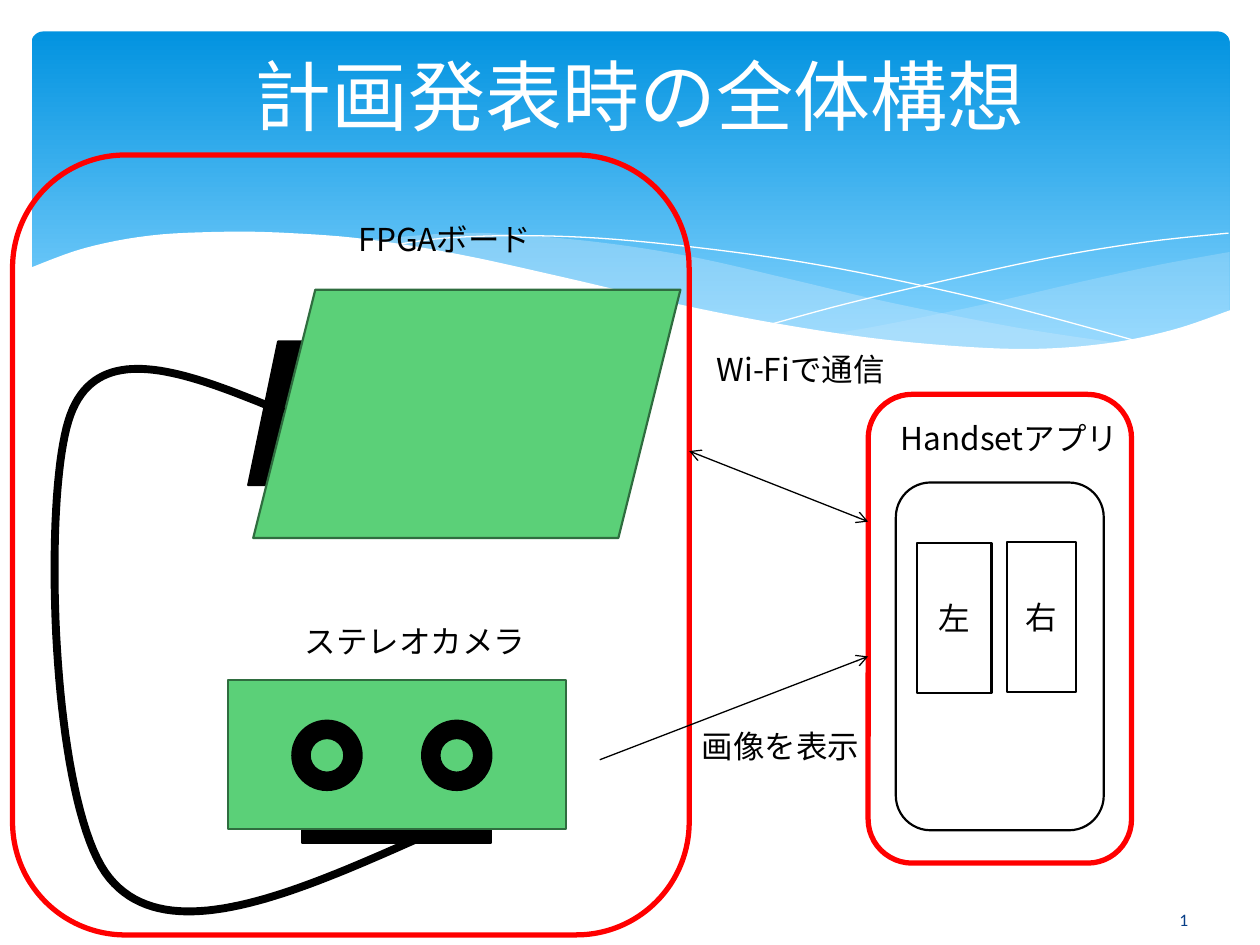
from lxml import etree
from pptx import Presentation
from pptx.dml.color import RGBColor
from pptx.enum.shapes import MSO_CONNECTOR, MSO_SHAPE
from pptx.enum.text import MSO_ANCHOR, PP_ALIGN
from pptx.oxml import parse_xml
from pptx.oxml.ns import nsdecls, qn
from pptx.util import Inches, Pt

ROUNDED, RECTANGLE = MSO_SHAPE.ROUNDED_RECTANGLE, MSO_SHAPE.RECTANGLE
PARALLELOGRAM, DONUT = MSO_SHAPE.PARALLELOGRAM, MSO_SHAPE.DONUT
CENTER, LEFT = PP_ALIGN.CENTER, PP_ALIGN.LEFT
MIDDLE, TOP = MSO_ANCHOR.MIDDLE, MSO_ANCHOR.TOP

WHITE, BLACK = RGBColor(255, 255, 255), RGBColor(0, 0, 0)
RED = RGBColor(0xFF, 0, 0)
GREEN, DARK_GREEN = RGBColor(0x5B, 0xD0, 0x78), RGBColor(0x2F, 0x6D, 0x3F)
SKY, LIGHT_SKY = RGBColor(0x02, 0x93, 0xE0), RGBColor(0x83, 0xD3, 0xFE)
PALE, NAVY = RGBColor(0xC6, 0xE7, 0xFC), RGBColor(0x07, 0x3E, 0x87)
BODY_FONT, TITLE_FONT = "Noto Sans CJK JP", "Calibri"

TITLE = "計画発表時の全体構想"
LABELS = [  # text, left, top, width
    ("Handsetアプリ", 7.05, 3.28, 2.28),
    ("FPGAボード", 2.75, 1.7, 1.89),
    ("Wi-Fiで通信", 5.59, 2.73, 1.79),
    ("ステレオカメラ", 2.32, 4.89, 2.16),
    ("画像を表示", 5.47, 5.72, 1.81),
]
SCREENS = [("左", (7.28, 4.31, 0.59, 1.19)), ("右", (7.99, 4.3, 0.55, 1.19))]
FRAMES = [(6.89, 3.13, 2.09, 3.72), (0.1, 1.23, 5.37, 6.19)]
LENS_LEFTS = (2.32, 3.35)
ARROWS = [  # start, end, arrowheads
    ((5.47, 3.58), (6.89, 4.14), ("headEnd", "tailEnd")),
    ((4.76, 6.03), (6.89, 5.21), ("tailEnd",)),
]
CABLE = [(2.25, 3.27), (1.52, 2.97), (0.79, 2.67), (0.56, 3.29), (0.33, 3.9),
         (0.4, 6.41), (0.87, 6.97), (1.33, 7.53), (2.34, 7.09), (3.35, 6.64)]

# Waves: each edge is a list of knots joined by a smooth curve
RIGHT_WAVE = [
    [(9.76, 2), (9.21, 2.1), (8.61, 2.23), (7.79, 2.42), (7.06, 2.57), (6.61, 2.65)],
    [(6.61, 2.65), (7.19, 2.72), (7.69, 2.77), (8.14, 2.78), (8.63, 2.75),
     (9.05, 2.69), (9.42, 2.59), (9.76, 2.47)],
]
MIDDLE_WAVE = [
    [(8.93, 2.73), (8.07, 2.6), (7.06, 2.4), (6.29, 2.22), (5.55, 2.05),
     (4.89, 1.94), (4.2, 1.87), (3.61, 1.85), (2.86, 1.91)],
    [(2.86, 1.91), (3.62, 2.03), (4.49, 2.22), (5.3, 2.4), (6.18, 2.58),
     (6.95, 2.7), (7.61, 2.77), (8.28, 2.78), (8.93, 2.73)],
]
WHITE_WAVE = [
    [(9.77, 2.46), (9.3, 2.62), (8.75, 2.73), (8.09, 2.77), (7.26, 2.72),
     (6.48, 2.62), (5.55, 2.45), (4.47, 2.2), (3.65, 2.02), (2.92, 1.9),
     (2.3, 1.85), (1.77, 1.84), (1.19, 1.87), (0.67, 1.97), (0.23, 2.13)],
    [(0.23, 3.29), (9.77, 3.29)],
]
WAVE_LINES = [
    [(3.09, 1.95), (3.53, 1.89), (4.16, 1.87), (4.89, 1.9), (5.82, 2),
     (6.65, 2.13), (7.6, 2.33), (8.31, 2.51), (9.07, 2.72)],
    [(6.13, 2.57), (6.72, 2.41), (7.48, 2.23), (8.36, 2.04), (9.1, 1.92), (9.75, 1.85)],
]


def bezier(controls, steps=40):
    """Sample a chain of cubic curves that share their end points."""
    points = [controls[0]]
    for first in range(0, len(controls) - 1, 3):
        corners = controls[first:first + 4]
        for step in range(1, steps + 1):
            t = step / steps
            weights = ((1 - t) ** 3, 3 * t * (1 - t) ** 2, 3 * t * t * (1 - t), t ** 3)
            points.append(tuple(sum(w * c[axis] for w, c in zip(weights, corners))
                                for axis in (0, 1)))
    return points


def spline(knots):
    """Sample a smooth curve that passes through every knot."""
    padded = [knots[0], *knots, knots[-1]]
    controls = [knots[0]]
    for before, start, end, after in zip(padded, padded[1:], padded[2:], padded[3:]):
        controls += [tuple(s + (e - b) / 6 for b, s, e in zip(before, start, end)),
                     tuple(e - (a - s) / 6 for s, e, a in zip(start, end, after)), end]
    return bezier(controls, 6)


def paint(shape, fill=None, line=None, width=1.25, alpha=None):
    shape.shadow.inherit = False
    if fill is None:
        shape.fill.background()
    else:
        shape.fill.solid()
        shape.fill.fore_color.rgb = fill
        if alpha is not None:
            color = shape.fill._xPr.find(qn("a:solidFill"))[0]
            etree.SubElement(color, qn("a:alpha"), val=str(alpha * 1000))
    if line is None:
        shape.line.fill.background()
    else:
        shape.line.color.rgb = line
        shape.line.width = Pt(width)
    return shape


def add_box(kind, box, **style):
    return paint(shapes.add_shape(kind, *map(Inches, box)), **style)


def add_path(points, closed=False, **style):
    start, *rest = [(Inches(x), Inches(y)) for x, y in points]
    builder = shapes.build_freeform(*start)
    builder.add_line_segments(rest, close=closed)
    return paint(builder.convert_to_shape(), **style)


def add_wave(edges, **style):
    add_path([point for edge in edges for point in spline(edge)], closed=True, **style)


def write(shape, text, size=18, font=BODY_FONT, color=BLACK, align=LEFT, anchor=TOP):
    frame = shape.text_frame
    frame.word_wrap = True
    frame.vertical_anchor = anchor
    paragraph = frame.paragraphs[0]
    paragraph.alignment = align
    run = paragraph.add_run()
    run.text = text
    run.font.size, run.font.name = Pt(size), font
    run.font.color.rgb = color
    return run


def add_label(text, left, top, width, **style):
    box = shapes.add_textbox(Inches(left), Inches(top), Inches(width), Inches(0.4))
    return write(box, text, **style)


def add_arrow(start, end, heads):
    arrow = shapes.add_connector(MSO_CONNECTOR.STRAIGHT, *map(Inches, start + end))
    arrow.line.color.rgb = BLACK
    arrow.line.width = Pt(0.75)
    for head in heads:
        etree.SubElement(arrow.line._get_or_add_ln(), qn("a:" + head), type="arrow")
    etree.SubElement(arrow._element.spPr, qn("a:effectLst"))


presentation = Presentation()
presentation.slide_width, presentation.slide_height = Inches(10), Inches(7.5)
slide = presentation.slides.add_slide(presentation.slide_layouts[5])
shapes = slide.shapes

# Header panel and waves
panel = add_box(ROUNDED, (0.25, 0.25, 9.51, 2.7))
panel.adjustments[0] = 0.034
panel.fill.gradient()
panel.fill.gradient_angle = 270
for stop, color, position in zip(panel.fill.gradient_stops, (SKY, LIGHT_SKY), (0, 0.9)):
    stop.color.rgb, stop.position = color, position
add_wave(RIGHT_WAVE, fill=PALE, alpha=29)
add_wave(MIDDLE_WAVE, fill=PALE, alpha=40)
for knots in WAVE_LINES:
    add_path(spline(knots), line=WHITE, width=0)
add_wave(WHITE_WAVE, fill=WHITE)

# Title, raised above the header panel
title = shapes.title
title.left, title.top, title.width, title.height = map(Inches, (0.58, 0.13, 9, 1.25))
write(title, TITLE, size=44, font=TITLE_FONT, color=WHITE, align=CENTER, anchor=MIDDLE)
shapes._spTree.append(title._element)

# Frames and phone
for box in FRAMES:
    add_box(ROUNDED, box, line=RED, width=3)
add_box(ROUNDED, (7.11, 3.83, 1.65, 2.76), fill=WHITE, line=BLACK)
for text, box in SCREENS:
    write(add_box(RECTANGLE, box, fill=WHITE, line=BLACK), text, align=CENTER, anchor=MIDDLE)

# Board, camera and cable
add_box(PARALLELOGRAM, (1.97, 2.71, 0.95, 1.14), fill=BLACK, line=BLACK)
add_box(PARALLELOGRAM, (2.01, 2.3, 3.39, 1.97), fill=GREEN, line=DARK_GREEN)
add_box(RECTANGLE, (2.4, 6.38, 1.5, 0.31), fill=BLACK, line=BLACK)
add_box(RECTANGLE, (1.81, 5.4, 2.68, 1.18), fill=GREEN, line=DARK_GREEN)
add_path(bezier(CABLE), line=BLACK, width=4.5)
for left in LENS_LEFTS:
    add_box(DONUT, (left, 5.72, 0.55, 0.55), fill=BLACK, line=BLACK)

for arrow in ARROWS:
    add_arrow(*arrow)
for label in LABELS:
    add_label(*label)

# Slide number as a live field
number = add_label("1", 8.76, 7.1, 1.27, size=10, font=TITLE_FONT, color=NAVY,
                   align=CENTER, anchor=MIDDLE)._r
field = parse_xml(f'<a:fld {nsdecls("a")} type="slidenum" '
                  'id="{B6F15528-21DE-4FAA-801E-634DDDAF4B2B}"/>')
number.getparent().replace(number, field)
field.extend(list(number))

presentation.save("out.pptx")
